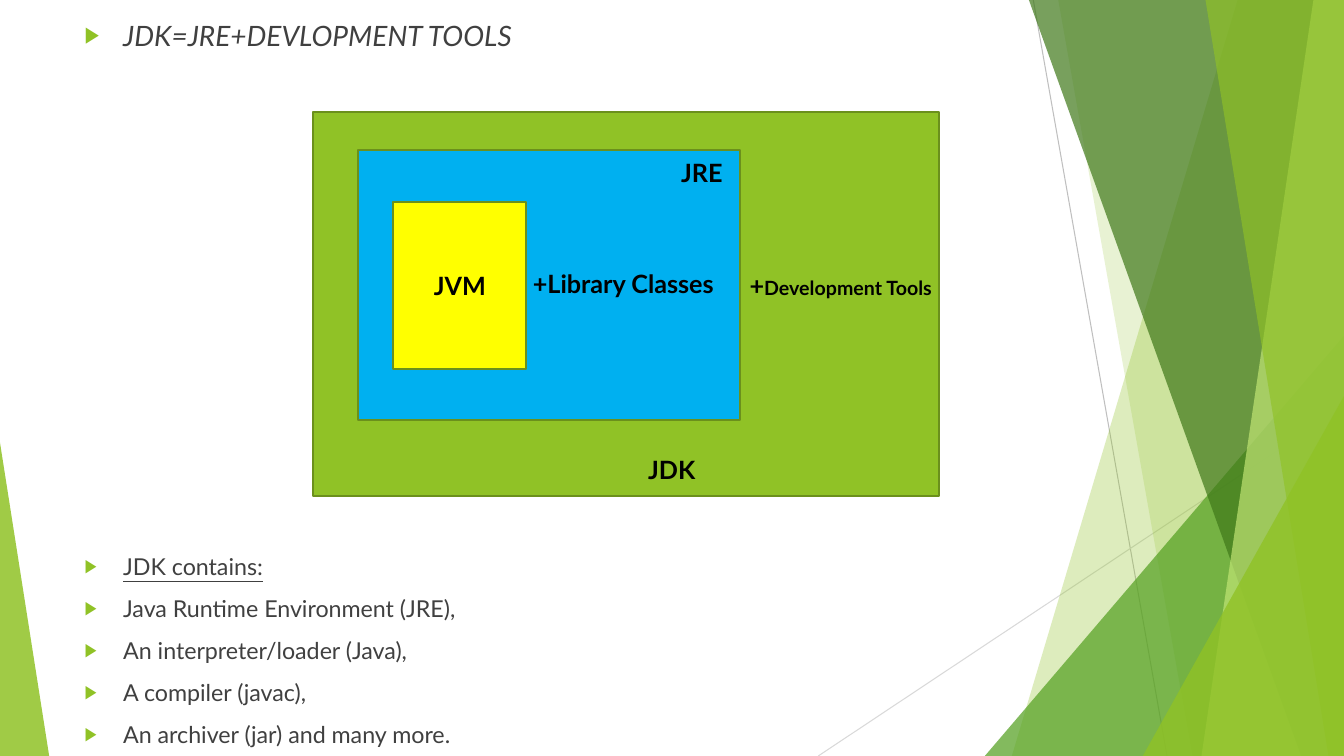
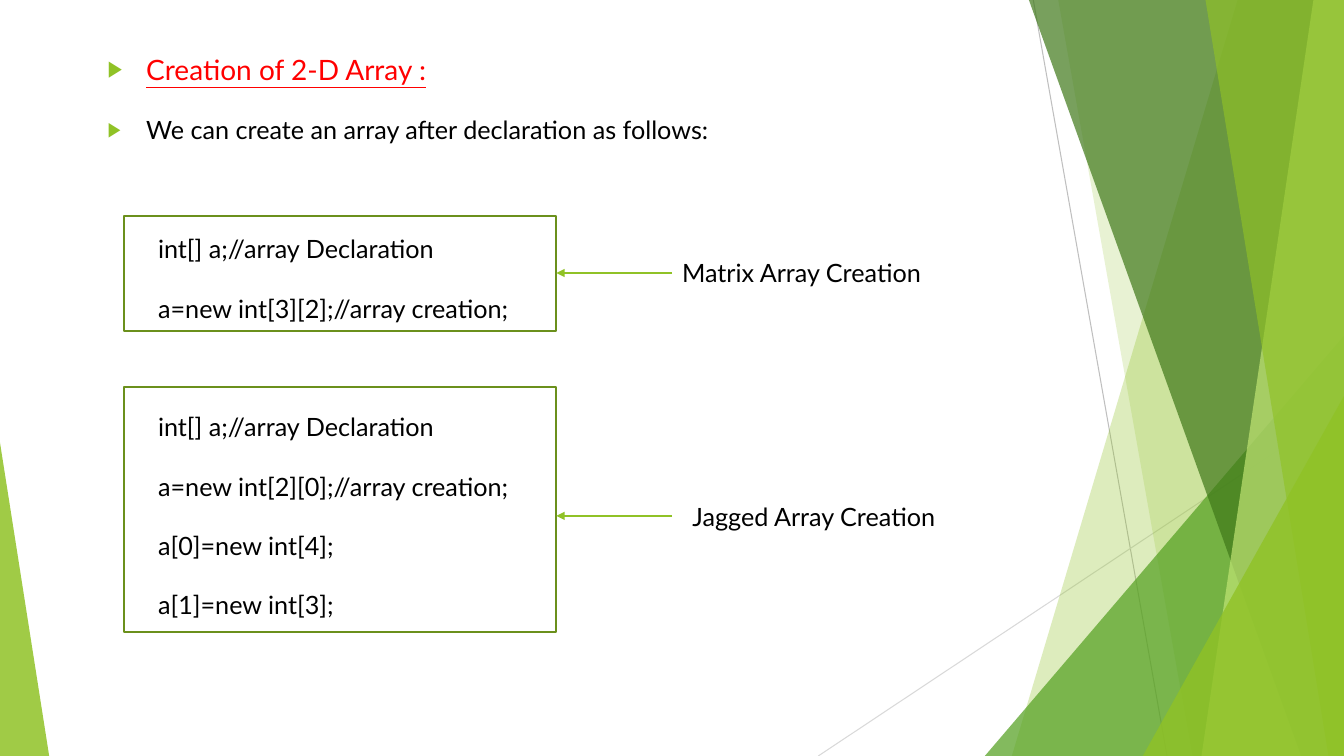
from dataclasses import dataclass

from lxml.etree import SubElement
from pptx import Presentation
from pptx.dml.color import RGBColor
from pptx.enum.shapes import MSO_CONNECTOR as CONN, MSO_SHAPE as SHAPE
from pptx.enum.text import MSO_ANCHOR as ANCHOR, MSO_AUTO_SIZE as AUTO, PP_ALIGN as ALIGN
from pptx.oxml.ns import qn
from pptx.util import Cm, Pt

WIDTH, HEIGHT = 33.87, 19.05
FONT = "Lato"
LIME, GREEN, DARK, PALE = "90C226", "54A021", "3F7819", "C0E474"
EDGE, BLUE, YELLOW, RED = "6B901C", "00B0F0", "FFFF00", "FF0000"
BLACK, GRAY = "000000", "404040"


@dataclass(frozen=True)
class Box:
    """A rectangle in centimetres."""
    left: float
    top: float
    width: float
    height: float

    def emu(self):
        """Return the four lengths for python-pptx."""
        return Cm(self.left), Cm(self.top), Cm(self.width), Cm(self.height)


@dataclass(frozen=True)
class Ribbon:
    """A full-height band from a slanted left edge to the right slide edge."""
    top_x: float
    bottom_x: float
    color: str
    alpha: int


@dataclass(frozen=True)
class Wedge:
    """A triangle with its tip at the left (0) or the right (1)."""
    box: Box
    tip: int
    color: str
    alpha: int


@dataclass(frozen=True)
class Item:
    """One paragraph of a body placeholder."""
    text: str
    size: float = 18
    color: str = BLACK
    bullet: bool = True
    underline: bool = False
    italic: bool = False
    before: float = 10


@dataclass(frozen=True)
class Label:
    """A short text over or beside a box."""
    text: str
    box: Box
    bold: bool = False
    align: ALIGN = ALIGN.LEFT


BANDS = [
    Ribbon(31.19, 25.5, LIME, 30),
    Ribbon(26.67, 30.05, LIME, 20),
    Wedge(Box(24.82, 8.46, 9.05, 10.59), 1, GREEN, 72),
    Ribbon(25.93, 32.79, DARK, 70),
    Ribbon(33.1, 30.28, PALE, 70),
    Ribbon(30.38, 33.48, LIME, 65),
    Wedge(Box(28.8, 9.98, 5.07, 9.07), 1, LIME, 80),
    Wedge(Box(0, 11.15, 1.24, 7.9), 0, LIME, 85),
]


def rgb(color: str) -> RGBColor:
    """Turn a hex string into a colour."""
    return RGBColor.from_string(color)


def write(p, text: str, *, size: float = 18, color: str = BLACK, bold: bool = False,
          italic: bool = False, underline: bool = False):
    """Add a formatted run to a paragraph."""
    r = p.add_run()
    r.text = text
    f = r.font
    f.name, f.size, f.color.rgb = FONT, Pt(size), rgb(color)
    f.bold, f.italic, f.underline = bold, italic, underline


def add_line(s, x1: float, y1: float, x2: float, y2: float, color: str,
             width: float = 0.75, arrow: bool = False):
    """Draw a straight line, with an arrowhead at its end if asked."""
    c = s.shapes.add_connector(CONN.STRAIGHT, Cm(x1), Cm(y1), Cm(x2), Cm(y2))
    c.line.color.rgb, c.line.width = rgb(color), Pt(width)
    pr = c.element.spPr
    if arrow:
        SubElement(pr.find(qn("a:ln")), qn("a:tailEnd"), type="triangle")
    SubElement(pr, qn("a:effectLst"))
    return c


def add_band(s, band):
    """Draw one translucent ribbon or wedge."""
    if isinstance(band, Ribbon):
        fb = s.shapes.build_freeform(Cm(band.top_x), 0)
        corners = [(WIDTH, 0), (WIDTH, HEIGHT), (band.bottom_x, HEIGHT)]
        fb.add_line_segments([(Cm(x), Cm(y)) for x, y in corners])
        sp = fb.convert_to_shape()
    else:
        sp = s.shapes.add_shape(SHAPE.ISOSCELES_TRIANGLE, *band.box.emu())
        sp.adjustments[0] = band.tip
    sp.shadow.inherit = False
    sp.fill.solid()
    sp.fill.fore_color.rgb = rgb(band.color)
    sp.line.fill.background()
    clr = sp.element.spPr.find(qn("a:solidFill")).find(qn("a:srgbClr"))
    SubElement(clr, qn("a:alpha"), val=str(band.alpha * 1000))
    return sp


def decorate_master(prs, s):
    """Draw the shared decoration and move it to the back of the master."""
    shapes = [add_line(s, 26.04, 0, 29.41, HEIGHT, "BFBFBF"),
              add_line(s, WIDTH, 10.24, 20.62, HEIGHT, "D9D9D9")]
    shapes += [add_band(s, band) for band in BANDS]
    tree = prs.slide_master.element.cSld.spTree
    for i, sp in enumerate(shapes):
        sp.element.xpath(".//p:cNvPr")[0].set("id", str(100 + i))
        tree.insert(2 + i, sp.element)


def add_slide(prs, layout: int):
    """Add a slide without its title placeholder."""
    s = prs.slides.add_slide(prs.slide_layouts[layout])
    title = s.shapes.title.element
    title.getparent().remove(title)
    return s


def set_bullet(p, bullet: bool):
    """Give a paragraph the green arrow bullet, or a plain indent."""
    pr = p._p.get_or_add_pPr()
    pr.set("marL", str(Cm(0.97 if bullet else 1.27)))
    pr.set("indent", str(-Cm(0.97) if bullet else 0))
    if bullet:
        SubElement(SubElement(pr, qn("a:buClr")), qn("a:srgbClr"), val=LIME)
        SubElement(pr, qn("a:buSzPct"), val="80000")
        SubElement(pr, qn("a:buChar"), char="▶")
    else:
        SubElement(pr, qn("a:buNone"))


def fill_body(s, idx: int, box: Box, items: list[Item], spacing: float = 1.0):
    """Place a body placeholder and write its paragraphs."""
    sp = s.placeholders[idx]
    sp.left, sp.top, sp.width, sp.height = box.emu()
    tf = sp.text_frame
    tf.auto_size, tf.vertical_anchor = AUTO.NONE, ANCHOR.TOP
    for i, item in enumerate(items):
        p = tf.add_paragraph() if i else tf.paragraphs[0]
        set_bullet(p, item.bullet)
        p.line_spacing = spacing
        p.space_before = Pt(item.before if i else 0)
        write(p, item.text, size=item.size, color=item.color,
              italic=item.italic, underline=item.underline)


def add_rect(s, box: Box, color: str | None = None):
    """Draw an outlined rectangle, filled if a colour is given."""
    sp = s.shapes.add_shape(SHAPE.RECTANGLE, *box.emu())
    sp.shadow.inherit = False
    if color:
        sp.fill.solid()
        sp.fill.fore_color.rgb = rgb(color)
    else:
        sp.fill.background()
    sp.line.color.rgb, sp.line.width = rgb(EDGE), Pt(1.5)


def add_label(s, label: Label):
    """Draw a label and return its paragraph."""
    tf = s.shapes.add_textbox(*label.box.emu()).text_frame
    tf.word_wrap = True
    p = tf.paragraphs[0]
    p.alignment = label.align
    write(p, label.text, bold=label.bold)
    return p


def build_jdk(s):
    """Build the slide on the parts of the JDK."""
    fill_body(s, 1, Box(1.88, 0.33, 23.88, 1.65),
              [Item("JDK=JRE+DEVLOPMENT TOOLS", 20, GRAY, italic=True)])
    for box, color in [(Box(7.9, 2.82, 15.77, 9.68), LIME),
                       (Box(9.02, 3.78, 9.63, 6.81), BLUE),
                       (Box(9.91, 5.08, 3.35, 4.22), YELLOW)]:
        add_rect(s, box, color)
    for text, left, top, width in [("JDK", 14.76, 11.33, 4.34), ("JVM", 9.42, 6.68, 4.34),
                                   ("+Library Classes", 13.03, 6.63, 5.36),
                                   ("JRE", 15.52, 3.84, 4.34)]:
        add_label(s, Label(text, Box(left, top, width, 1.02), True, ALIGN.CENTER))
    p = add_label(s, Label("+", Box(18.64, 6.68, 8.46, 1.02), True))
    write(p, "Development Tools", size=14, bold=True)
    parts = ["Java Runtime Environment (JRE),", "An interpreter/loader (Java),",
             "A compiler (javac),", "An archiver (jar) and many more."]
    fill_body(s, 2, Box(1.88, 13.79, 23.88, 4.88),
              [Item("JDK contains:", 16.6, GRAY, underline=True)]
              + [Item(part, 16.6, GRAY) for part in parts])


def build_array(s):
    """Build the slide on creating two-dimensional arrays."""
    matrix = ["int[] a;//array Declaration", "a=new int[3][2];//array creation;"]
    jagged = ["int[] a;//array Declaration", "a=new int[2][0];//array creation;",
              "a[0]=new int[4];", "a[1]=new int[3];"]
    items = [Item("Creation of 2-D Array :", 20, RED, underline=True),
             Item("We can create an array after declaration as follows:")]
    for lines in (matrix, jagged):
        items += [Item(line, bullet=False, before=10 if i else 52.4)
                  for i, line in enumerate(lines)]
    fill_body(s, 1, Box(2.46, 0.76, 23.88, 17.55), items, 1.5)
    for text, top, height, left, label_top, arrow_y in [
            ("Matrix Array Creation", 5.44, 2.9, 16.94, 6.35, 6.88),
            ("Jagged Array Creation", 9.75, 6.17, 17.2, 12.5, 13)]:
        add_rect(s, Box(3.12, top, 10.9, height))
        add_label(s, Label(text, Box(left, label_top, 7.37, 1.02)))
        add_line(s, 16.94, arrow_y, 14.02, arrow_y, LIME, 1, arrow=True)


def main():
    """Build and save the presentation."""
    prs = Presentation()
    prs.slide_width, prs.slide_height = Cm(WIDTH), Cm(HEIGHT)
    s = add_slide(prs, 3)
    decorate_master(prs, s)
    build_jdk(s)
    build_array(add_slide(prs, 1))
    prs.save("out.pptx")


if __name__ == "__main__":
    main()
